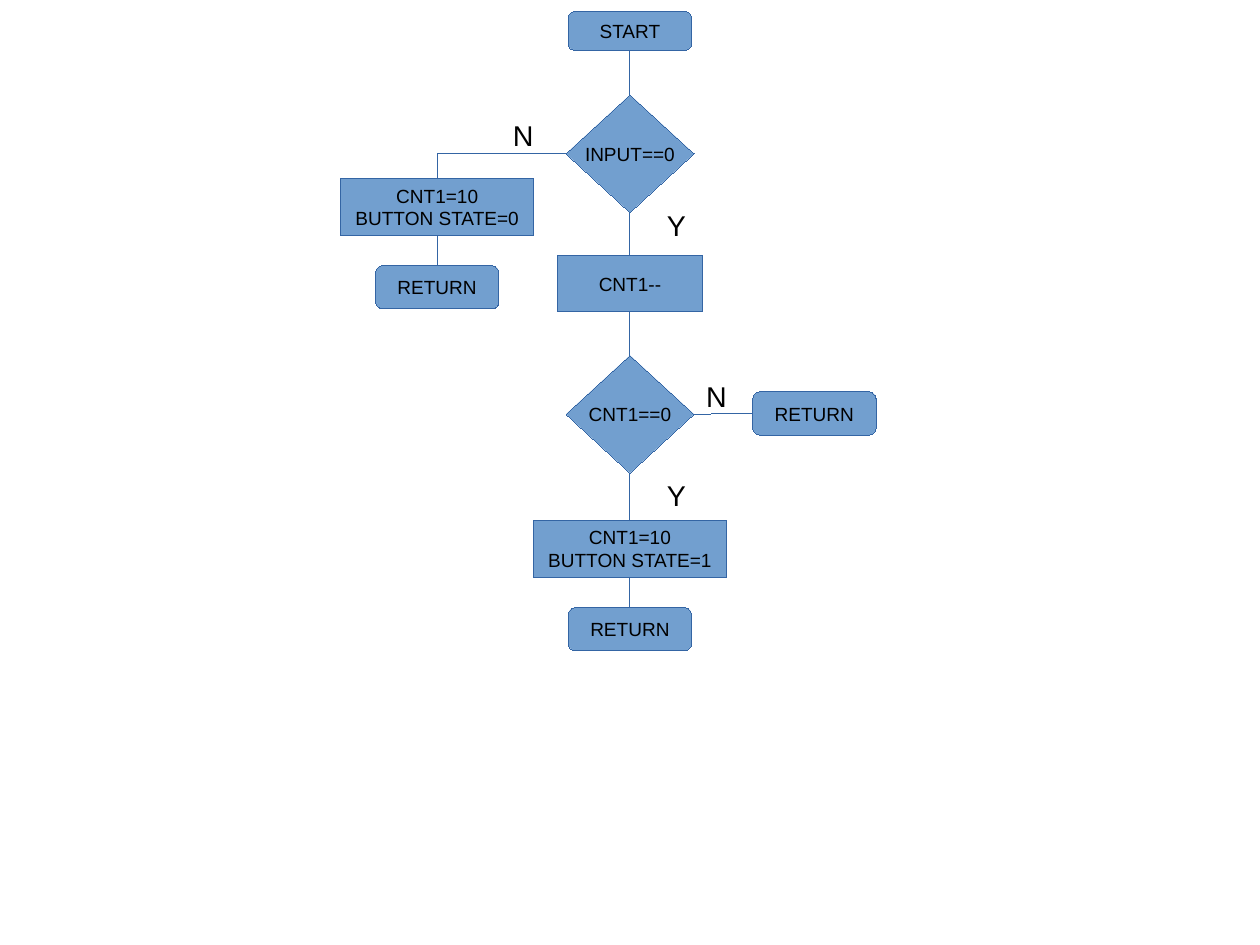
from dataclasses import dataclass
from lxml.etree import SubElement
from pptx import Presentation
from pptx.dml.color import RGBColor
from pptx.enum.shapes import MSO_CONNECTOR, MSO_SHAPE
from pptx.enum.text import MSO_ANCHOR, PP_ALIGN
from pptx.oxml.ns import qn
from pptx.util import Cm, Pt


@dataclass
class Theme:
    fill: RGBColor = RGBColor.from_string("729FCF")
    line: RGBColor = RGBColor.from_string("3465A4")
    ink: RGBColor = RGBColor.from_string("000000")
    font: str = "Arial"
    node: Pt = Pt(12)
    label: Pt = Pt(18)
    hair: Pt = Pt(0.01)


theme = Theme()
deck = Presentation()
deck.slide_width, deck.slide_height = Cm(28), Cm(21)
slide = deck.slides.add_slide(deck.slide_layouts[6])
shapes = slide.shapes
col, row = deck.slide_width / 100, deck.slide_height / 100


def place(mid, top, wide, tall):
    return [round(n) for n in ((mid - wide / 2) * col, top * row, wide * col, tall * row)]


def write(frame, text, size):
    frame.text = text
    for para in frame.paragraphs:
        para.alignment = PP_ALIGN.CENTER
        para.font.name = theme.font
        para.font.size = size
        para.font.color.rgb = theme.ink


pill = MSO_SHAPE.FLOWCHART_ALTERNATE_PROCESS
box = MSO_SHAPE.FLOWCHART_PROCESS
gem = MSO_SHAPE.FLOWCHART_DECISION
left, main, right = 34.7, 50, 64.64

steps = [
    ("start", pill, "START", main, 1.21, 9.8, 4.11),
    ("input", gem, "INPUT==0", main, 10.04, 10.16, 12.45),
    ("reset", box, "CNT1=10\nBUTTON STATE=0", left, 18.9, 15.34, 5.99),
    ("left end", pill, "RETURN", left, 28.1, 9.8, 4.6),
    ("count", box, "CNT1--", main, 27, 11.52, 5.99),
    ("test", gem, "CNT1==0", main, 37.61, 10.16, 12.45),
    ("right end", pill, "RETURN", right, 41.45, 9.8, 4.6),
    ("press", box, "CNT1=10\nBUTTON STATE=1", main, 55.08, 15.34, 5.99),
    ("main end", pill, "RETURN", main, 64.28, 9.8, 4.6),
]
nodes = {}
for key, kind, text, mid, top, wide, tall in steps:
    node = shapes.add_shape(kind, *place(mid, top, wide, tall))
    node.shadow.inherit = False
    node.fill.solid()
    node.fill.fore_color.rgb = theme.fill
    node.line.color.rgb = theme.line
    node.line.width = theme.hair
    node.text_frame.word_wrap = False
    node.text_frame.vertical_anchor = MSO_ANCHOR.MIDDLE
    write(node.text_frame, text, theme.node)
    nodes[key] = node

links = [
    ("start", 2, "input", 0),
    ("input", 2, "count", 0),
    ("input", 1, "reset", 0),
    ("reset", 2, "left end", 0),
    ("count", 2, "test", 0),
    ("test", 3, "right end", 1),
    ("test", 2, "press", 0),
    ("press", 2, "main end", 0),
]
for head, exit, tail, entry in links:
    bent = exit == 1
    kind = MSO_CONNECTOR.ELBOW if bent else MSO_CONNECTOR.STRAIGHT
    link = shapes.add_connector(kind, 0, 0, 0, 0)
    link.begin_connect(nodes[head], exit)
    link.end_connect(nodes[tail], entry)
    link.line.color.rgb = theme.line
    link.line.width = theme.hair
    props = link._element.spPr
    if bent:
        props.find(qn("a:prstGeom")).set("prst", "bentConnector2")
    SubElement(props, qn("a:effectLst"))

for text, mid, top in [
    ("N", 41.52, 11.85),
    ("Y", 53.68, 21.4),
    ("N", 56.87, 39.47),
    ("Y", 53.68, 49.94),
]:
    label = shapes.add_textbox(*place(mid, top, 5.08, 4.6))
    label.text_frame.word_wrap = True
    write(label.text_frame, text, theme.label)

deck.save("out.pptx")
